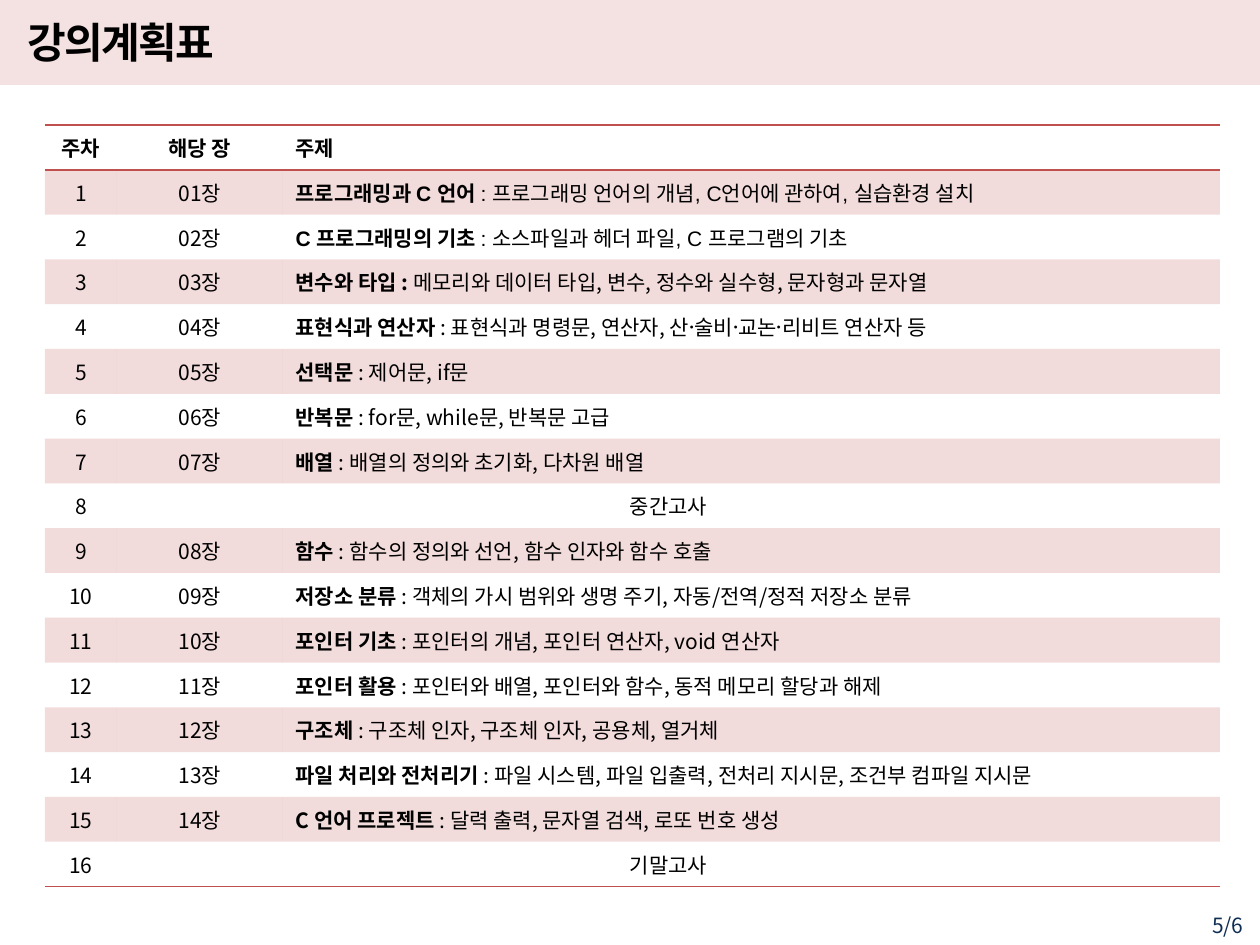
from lxml.etree import SubElement
from pptx import Presentation
from pptx.dml.color import RGBColor as Rgb
from pptx.enum.shapes import MSO_SHAPE as Preset
from pptx.enum.text import MSO_ANCHOR as Anchor, PP_ALIGN as Align
from pptx.oxml.ns import qn
from pptx.util import Emu, Pt

SCALE = 914400 / 126
KOREAN = "Noto Sans CJK KR"
LATIN = "Arial"
PLAIN_TABLE = "{2D5ABB26-0587-4C30-8999-92F81FD0307C}"
COLORS = {"text": "000000", "banner": "D99694", "accent": "C0504D", "page": "0F2E53"}
HEADINGS = ["주차", "해당 장", "주제"]
EXAMS = {8: "중간고사", 16: "기말고사"}
ARIAL_WEEKS = (1, 2)
TOPICS = [
    ("프로그래밍과 C 언어 ", ": 프로그래밍 언어의 개념, C언어에 관하여, 실습환경 설치"),
    ("C 프로그래밍의 기초 ", ": 소스파일과 헤더 파일, C 프로그램의 기초"),
    ("변수와 타입 : ", "메모리와 데이터 타입, 변수, 정수와 실수형, 문자형과 문자열"),
    ("표현식과 연산자 ", ": 표현식과 명령문, 연산자, 산술〮비교〮논리〮비트 연산자 등"),
    ("선택문 ", ": 제어문, if문"),
    ("반복문 ", ": for문, while문, 반복문 고급"),
    ("배열 ", ": 배열의 정의와 초기화, 다차원 배열"),
    ("함수 ", ": 함수의 정의와 선언, 함수 인자와 함수 호출"),
    ("저장소 분류 ", ": 객체의 가시 범위와 생명 주기, 자동/전역/정적 저장소 분류"),
    ("포인터 기초 ", ": 포인터의 개념, 포인터 연산자, void 연산자"),
    ("포인터 활용 ", ": 포인터와 배열, 포인터와 함수, 동적 메모리 할당과 해제"),
    ("구조체 ", ": 구조체 인자, 구조체 인자, 공용체, 열거체"),
    ("파일 처리와 전처리기 ", ": 파일 시스템, 파일 입출력, 전처리 지시문, 조건부 컴파일 지시문"),
    ("C 언어 프로젝트 ", ": 달력 출력, 문자열 검색, 로또 번호 생성"),
]


def px(length):
    return Emu(round(length * SCALE))


class Deck:
    def __init__(self, width, height):
        self.show = Presentation()
        self.show.slide_width, self.show.slide_height = px(width), px(height)
        self.slide = self.show.slides.add_slide(self.show.slide_layouts[6])

    def tint(self, fill, color, percent):
        fill.solid()
        fill.fore_color.rgb = Rgb.from_string(COLORS[color])
        srgb = fill._xPr.find(qn("a:solidFill")).find(qn("a:srgbClr"))
        SubElement(srgb, qn("a:alpha"), val=str(percent * 1000))

    def run(self, paragraph, text, size=12, bold=False, color="text", font=KOREAN, spacing=0):
        run = paragraph.add_run()
        run.text = text
        run.font.size, run.font.bold, run.font.name = Pt(size), bold, font
        run.font.color.rgb = Rgb.from_string(COLORS[color])
        props = run.font._element
        SubElement(props, qn("a:ea"), typeface=KOREAN)
        if spacing:
            props.set("spc", str(spacing * 100))

    def banner(self, *box):
        banner = self.slide.shapes.add_shape(Preset.RECTANGLE, *map(px, box))
        banner.shadow.inherit = False
        banner.line.fill.background()
        self.tint(banner.fill, "banner", 27)

    def text(self, box, text, align=Align.LEFT, anchor=Anchor.MIDDLE, top=6, **style):
        frame = self.slide.shapes.add_textbox(*map(px, box)).text_frame
        frame.word_wrap = True
        frame.vertical_anchor = anchor
        frame.margin_top = px(top)
        frame.paragraphs[0].alignment = align
        self.run(frame.paragraphs[0], text, **style)

    def table(self, left, top, widths, height, rows):
        box = map(px, (left, top, sum(widths), height))
        table = self.slide.shapes.add_table(rows, len(widths), *box).table
        table.first_row = table.horz_banding = False
        table._tbl.tblPr.find(qn("a:tableStyleId")).text = PLAIN_TABLE
        for column, width in zip(table.columns, widths):
            column.width = px(width)
        for row in table.rows:
            row.height = px(height / rows)
        return table

    def cell(self, cell, runs, align=Align.CENTER, banded=False, borders=(), font=KOREAN):
        cell.vertical_anchor = Anchor.MIDDLE
        paragraph = cell.text_frame.paragraphs[0]
        paragraph.alignment = align
        for text, bold in runs:
            self.run(paragraph, text, bold=bold, font=font)
        self.borders(cell, borders)
        if banded:
            self.tint(cell.fill, "accent", 20)
        else:
            cell.fill.background()

    def borders(self, cell, sides):
        for side in sides:
            line = SubElement(cell._tc.get_or_add_tcPr(), qn(f"a:ln{side}"), w=str(Pt(1)))
            solid = SubElement(line, qn("a:solidFill"))
            SubElement(solid, qn("a:srgbClr"), val=COLORS["accent"])


def main():
    deck = Deck(1260, 945)
    deck.banner(0, 0, 1260, 85)
    deck.text((1140, 910, 116, 29), "5/6", Align.RIGHT, Anchor.TOP, top=3, color="page")
    deck.text((15, 9, 1072, 66), "강의계획표", size=24, bold=True, spacing=-1)

    weeks = len(TOPICS) + len(EXAMS)
    plan = deck.table(45, 125, (72, 166, 937), 762, weeks + 1)
    aligns = (Align.CENTER, Align.CENTER, Align.LEFT)
    for column, heading in enumerate(HEADINGS):
        deck.cell(plan.cell(0, column), [(heading, True)], aligns[column], borders="TB")

    chapters = enumerate(TOPICS, 1)
    for week in range(1, weeks + 1):
        look = {"banded": week % 2 == 1, "borders": "B" if week == weeks else ""}
        number, chapter_cell, topic_cell = (plan.cell(week, column) for column in range(3))
        deck.cell(number, [(str(week), False)], **look)
        if week in EXAMS:
            chapter_cell.merge(topic_cell)
            deck.cell(chapter_cell, [(EXAMS[week], False)], font=LATIN, **look)
            deck.borders(topic_cell, look["borders"])
            continue
        chapter, (topic, details) = next(chapters)
        deck.cell(chapter_cell, [(f"{chapter:02}장", False)], **look)
        font = LATIN if week in ARIAL_WEEKS else KOREAN
        deck.cell(topic_cell, [(topic, True), (details, False)], Align.LEFT, font=font, **look)

    deck.show.save("out.pptx")


if __name__ == "__main__":
    main()
